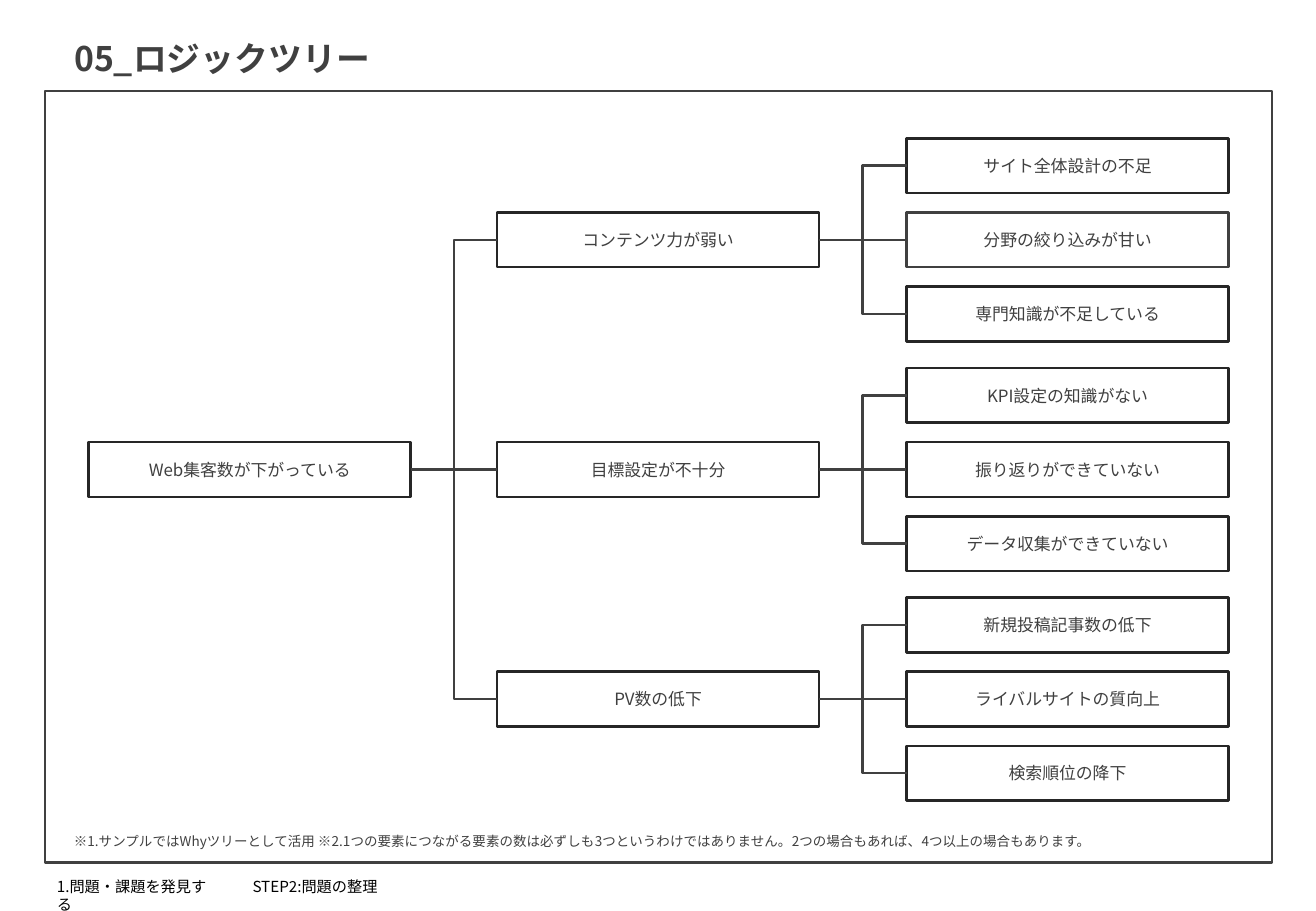
from dataclasses import dataclass
from typing import Any

from lxml import etree
from pptx import Presentation
from pptx import util as u
from pptx.dml.color import RGBColor
from pptx.enum import shapes, text
from pptx.oxml import ns

FONT = "Noto Sans CJK JP"
BLACK = RGBColor(0x00, 0x00, 0x00)
INK = RGBColor(0x26, 0x26, 0x26)
GRAY = RGBColor(0x40, 0x40, 0x40)
WHITE = RGBColor(0xFF, 0xFF, 0xFF)

NODE_WIDTH, NODE_HEIGHT = 2.65, 0.45
COLUMNS = (0.73, 4.09, 7.46)
ROOT_TOP = 3.64
BRANCH_PITCH, LEAF_PITCH = 1.89, 0.61
TOP, LEFT, BOTTOM, RIGHT = range(4)


@dataclass
class Node:
    label: str
    children: tuple["Node", ...] = ()
    outline: RGBColor = INK


@dataclass
class Caption:
    label: str
    left: float
    top: float
    width: float
    height: float
    size: int
    color: RGBColor
    line_spacing: float = 1.0


TREE = Node("Web集客数が下がっている", (
    Node("コンテンツ力が弱い", (
        Node("サイト全体設計の不足"),
        Node("分野の絞り込みが甘い", outline=GRAY),
        Node("専門知識が不足している"),
    )),
    Node("目標設定が不十分", (
        Node("KPI設定の知識がない"),
        Node("振り返りができていない"),
        Node("データ収集ができていない"),
    )),
    Node("PV数の低下", (
        Node("新規投稿記事数の低下"),
        Node("ライバルサイトの質向上"),
        Node("検索順位の降下"),
    )),
))

CAPTIONS = (
    Caption("※1.サンプルではWhyツリーとして活用 ※2.1つの要素につながる要素の数は"
            "必ずしも3つというわけではありません。2つの場合もあれば、4つ以上の場合もあります。",
            0.51, 6.74, 10.1, 0.3, 8, GRAY, 1.5),
    Caption("1.問題・課題を発見する", 0.37, 7.17, 1.44, 0.25, 9, BLACK),
    Caption("STEP2:問題の整理", 1.98, 7.17, 1.3, 0.25, 9, BLACK),
)


def set_attributes(target: Any, values: dict[str, Any]) -> None:
    for name, value in values.items():
        setattr(target, name, value)


def write(shape: Any, label: str, size: int, color: RGBColor,
          frame: dict[str, Any], paragraph_format: dict[str, Any], bold: bool = False) -> None:
    set_attributes(shape.text_frame, frame)
    paragraph = shape.text_frame.paragraphs[0]
    set_attributes(paragraph, paragraph_format)
    run = paragraph.add_run()
    run.text = label
    set_attributes(run.font, {"name": FONT, "size": u.Pt(size), "bold": bold})
    run.font.color.rgb = color
    east_asian = etree.SubElement(run.font._element, ns.qn("a:ea"))
    east_asian.set("typeface", FONT)


def draw_outline(line: Any, color: RGBColor) -> None:
    line.color.rgb = color
    line.width = u.Pt(1.5)


def draw_title(slide: Any, label: str) -> None:
    title = slide.shapes.title
    set_attributes(title, {"left": u.Inches(0.51), "top": u.Inches(0.26),
                           "width": u.Inches(2.73), "height": u.Inches(0.44)})
    write(title, label, 20, GRAY,
          {"word_wrap": False, "auto_size": text.MSO_AUTO_SIZE.NONE,
           "vertical_anchor": text.MSO_ANCHOR.TOP},
          {"alignment": text.PP_ALIGN.LEFT}, bold=True)


def draw_frame(slide: Any) -> None:
    frame = slide.shapes.add_shape(shapes.MSO_SHAPE.RECTANGLE, u.Inches(0.37),
                                   u.Inches(0.75), u.Inches(10.1), u.Inches(6.35))
    frame.shadow.inherit = False
    frame.fill.background()
    draw_outline(frame.line, GRAY)


def draw_box(slide: Any, node: Node, left: float, top: float) -> Any:
    box = slide.shapes.add_shape(shapes.MSO_SHAPE.ROUNDED_RECTANGLE, u.Inches(left),
                                 u.Inches(top), u.Inches(NODE_WIDTH), u.Inches(NODE_HEIGHT))
    box.adjustments[0] = 0
    box.shadow.inherit = False
    box.fill.solid()
    box.fill.fore_color.rgb = WHITE
    draw_outline(box.line, node.outline)
    write(box, node.label, 10, GRAY,
          {"word_wrap": True, "vertical_anchor": text.MSO_ANCHOR.MIDDLE},
          {"alignment": text.PP_ALIGN.CENTER})
    return box


def connect(slide: Any, parent: Any, child: Any) -> None:
    kind = (shapes.MSO_CONNECTOR.STRAIGHT if parent.top == child.top
            else shapes.MSO_CONNECTOR.ELBOW)
    connector = slide.shapes.add_connector(
        kind, parent.left + parent.width, parent.top + parent.height // 2,
        child.left, child.top + child.height // 2)
    connector.begin_connect(parent, RIGHT)
    connector.end_connect(child, LEFT)
    draw_outline(connector.line, GRAY)
    etree.SubElement(connector._element.spPr, ns.qn("a:effectLst"))


def draw_tree(slide: Any, node: Node, top: float, level: int = 0) -> Any:
    box = draw_box(slide, node, COLUMNS[level], top)
    pitch = (BRANCH_PITCH, LEAF_PITCH)[min(level, 1)]
    middle = (len(node.children) - 1) / 2
    for index, child in enumerate(node.children):
        child_top = top + (index - middle) * pitch
        connect(slide, box, draw_tree(slide, child, child_top, level + 1))
    return box


def draw_caption(slide: Any, caption: Caption) -> None:
    box = slide.shapes.add_textbox(u.Inches(caption.left), u.Inches(caption.top),
                                   u.Inches(caption.width), u.Inches(caption.height))
    write(box, caption.label, caption.size, caption.color,
          {"word_wrap": True}, {"line_spacing": caption.line_spacing})


def main() -> None:
    presentation = Presentation()
    presentation.slide_width = u.Inches(10.83)
    presentation.slide_height = u.Inches(7.5)
    slide = presentation.slides.add_slide(presentation.slide_layouts[5])
    draw_title(slide, "05_ロジックツリー")
    draw_frame(slide)
    draw_tree(slide, TREE, ROOT_TOP)
    for caption in CAPTIONS:
        draw_caption(slide, caption)
    presentation.save("out.pptx")


if __name__ == "__main__":
    main()
